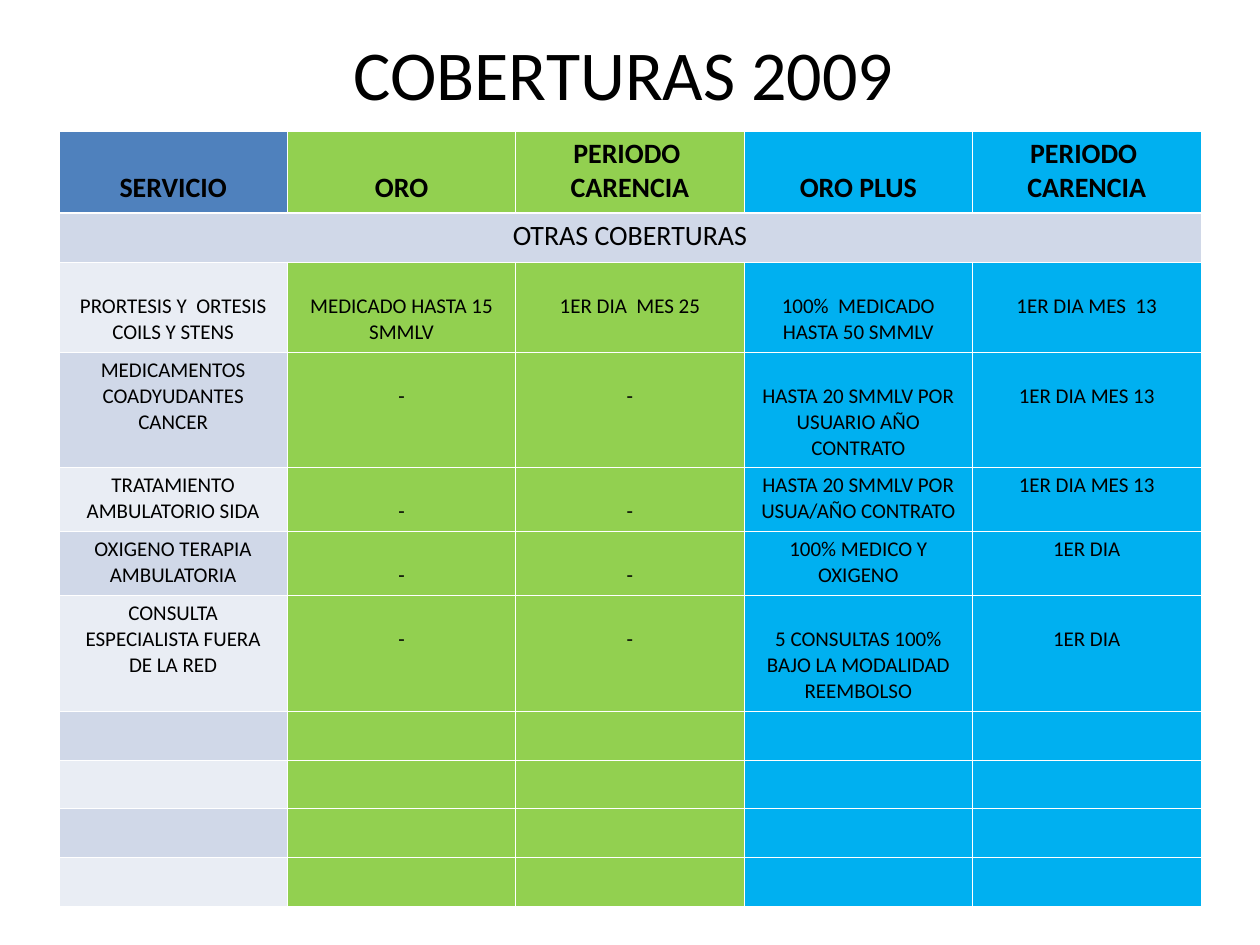
from pptx import Presentation
from pptx.dml.color import RGBColor
from pptx.enum.text import MSO_ANCHOR as Anchor, PP_ALIGN as Align
from pptx.oxml import parse_xml
from pptx.oxml.ns import nsdecls
from pptx.util import Pt

EMU_PER_PX = 914400 / 126
FONT = "Calibri"
BLACK, WHITE = "000000", "FFFFFF"
BLUE, GREEN, CYAN = "4F81BD", "92D050", "00B0F0"
BANDS = ("D0D8E8", "E9EDF4")
PLAN_FILLS = (GREEN, GREEN, CYAN, CYAN)
PAD_X, PAD_Y = 13, 6
LINE_PX = {16: 34, 12: 26}
THIN, THICK = 0.45, 1.47

HEADERS = ("SERVICIO", "ORO", "PERIODO  CARENCIA", "ORO PLUS", "PERIODO  CARENCIA")
SECTION = "OTRAS COBERTURAS"
EMPTY = ("",) * 5
ROWS = [
    (82, HEADERS, (0, 1, 3)),
    (49, (SECTION, "", "", "", ""), ()),
    (90, ("PRORTESIS Y  ORTESIS COILS Y STENS", "MEDICADO HASTA 15 SMMLV", "1ER DIA  MES 25",
          "100%  MEDICADO HASTA 50 SMMLV", "1ER DIA MES  13"), (0, 1, 2, 3, 4)),
    (115, ("MEDICAMENTOS COADYUDANTES CANCER", "-", "-",
           "HASTA 20 SMMLV POR USUARIO AÑO CONTRATO", "1ER DIA MES 13"), (1, 2, 3, 4)),
    (64, ("TRATAMIENTO AMBULATORIO SIDA", "-", "-",
          "HASTA 20 SMMLV POR USUA/AÑO CONTRATO", "1ER DIA MES 13"), (1, 2)),
    (64, ("OXIGENO TERAPIA AMBULATORIA", "-", "-", "100% MEDICO Y OXIGENO", "1ER DIA"), (1, 2)),
    (116, ("CONSULTA ESPECIALISTA FUERA DE LA RED", "-", "-",
           "5 CONSULTAS 100% BAJO LA MODALIDAD REEMBOLSO", "1ER DIA"), (1, 2, 3, 4)),
] + [(49, EMPTY, ())] * 4


def px(length):
    return round(length * EMU_PER_PX)


def color(value):
    return RGBColor.from_string(value)


def write(frame, text, size, bold=False):
    para = frame.paragraphs[0]
    para.alignment = Align.CENTER
    if not text:
        para.font.size = Pt(size)
        return
    span = para.add_run()
    span.text = text
    span.font.name = FONT
    span.font.size = Pt(size)
    span.font.bold = bold
    span.font.color.rgb = color(BLACK)


def add_title(page, left, top, width, height):
    box = page.shapes.add_textbox(px(left), px(top), px(width), px(height))
    frame = box.text_frame
    frame.word_wrap = True
    frame.vertical_anchor = Anchor.MIDDLE
    write(frame, "COBERTURAS 2009", 40)


def add_borders(cell, row):
    widths = {
        "L": THIN,
        "R": THIN,
        "T": THICK if row == 1 else THIN,
        "B": THICK if row == 0 else THIN,
    }
    properties = cell._tc.get_or_add_tcPr()
    for side, width in widths.items():
        properties.append(parse_xml(
            f'<a:ln{side} {nsdecls("a")} w="{Pt(width)}">'
            f'<a:solidFill><a:srgbClr val="{WHITE}"/></a:solidFill></a:ln{side}>'))


def cell_fill(row, column):
    if row == 1:
        return BANDS[0]
    if column:
        return PLAN_FILLS[column - 1]
    return BLUE if row == 0 else BANDS[(row + 1) % 2]


def add_coverage_table(page, left, top, width):
    height = sum(row_height for row_height, _, _ in ROWS)
    table = page.shapes.add_table(
        len(ROWS), len(HEADERS), px(left), px(top), px(width), px(height)).table
    table.first_row = False
    table.horz_banding = False
    table.cell(1, 0).merge(table.cell(1, len(HEADERS) - 1))
    for row, (row_height, texts, lowered) in enumerate(ROWS):
        table.rows[row].height = px(row_height)
        size = 16 if row < 2 else 12
        for column, text in enumerate(texts):
            cell = table.cell(row, column)
            cell.margin_left = cell.margin_right = px(PAD_X)
            cell.margin_bottom = px(PAD_Y)
            cell.margin_top = px(PAD_Y + (LINE_PX[size] if column in lowered else 0))
            cell.vertical_anchor = Anchor.TOP
            add_borders(cell, row)
            cell.fill.solid()
            cell.fill.fore_color.rgb = color(cell_fill(row, column))
            write(cell.text_frame, text, size, bold=row == 0)


def main():
    deck = Presentation()
    deck.slide_width, deck.slide_height = px(1260), px(945)
    page = deck.slides.add_slide(deck.slide_layouts[6])
    add_title(page, 88, 29, 1071, 88)
    add_coverage_table(page, 59, 131, 1142)
    deck.save("out.pptx")


if __name__ == "__main__":
    main()
